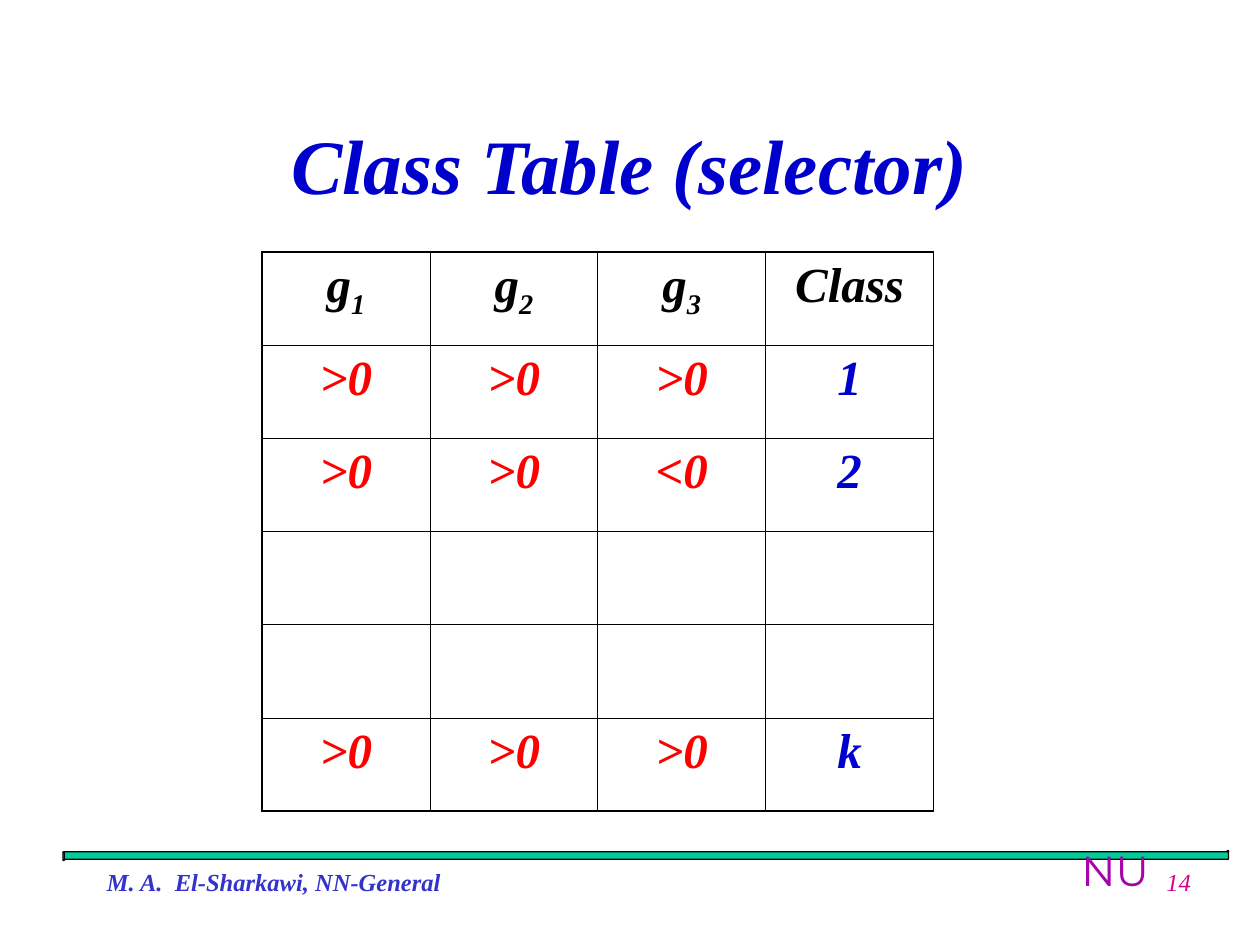
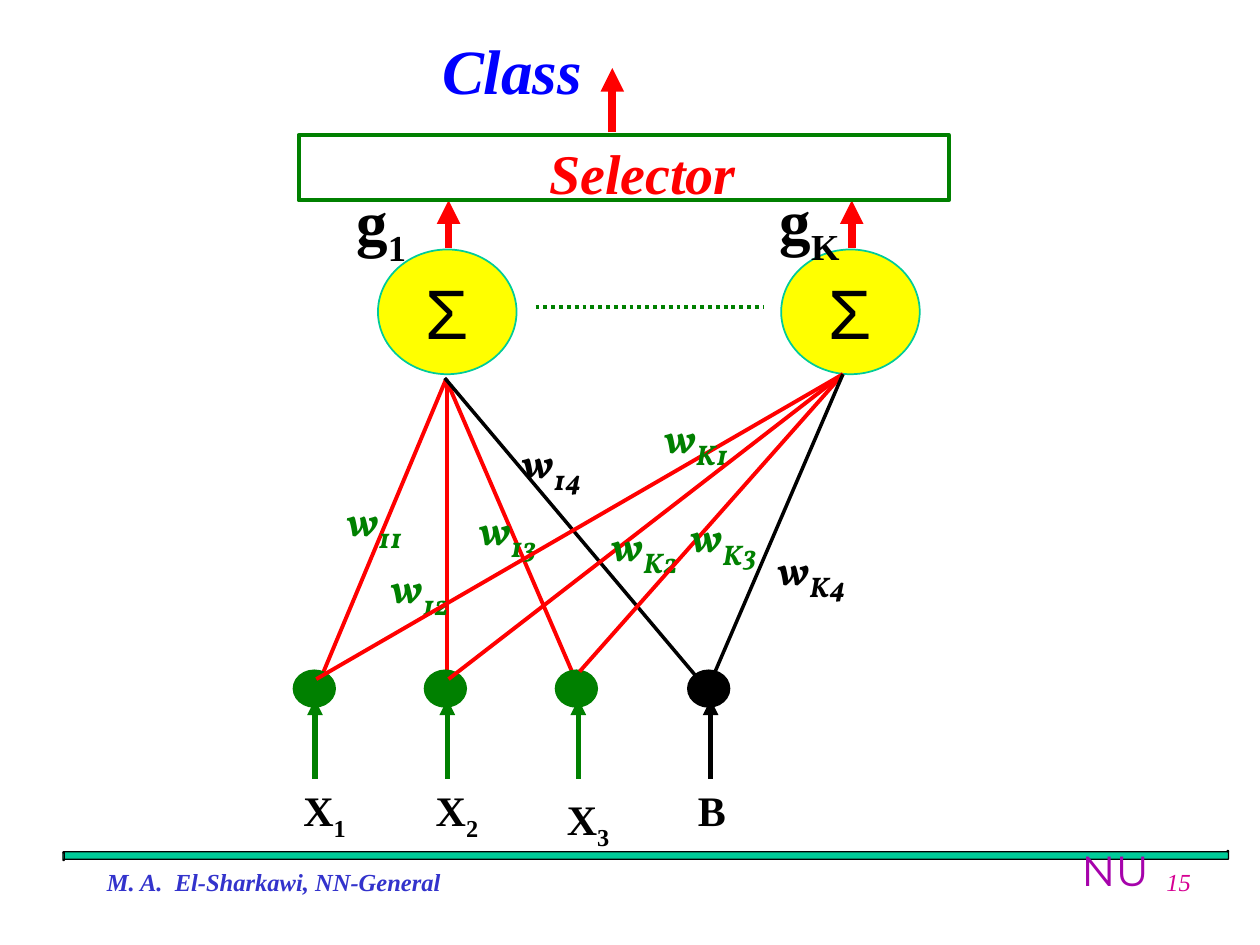
from lxml import etree
from pptx import Presentation
from pptx.dml.color import RGBColor
from pptx.enum.dml import MSO_LINE
from pptx.enum.shapes import MSO_CONNECTOR, MSO_SHAPE
from pptx.enum.text import MSO_ANCHOR, MSO_AUTO_SIZE, PP_ALIGN
from pptx.oxml.ns import qn
from pptx.util import Pt

PX = 9144
STRAIGHT = MSO_CONNECTOR.STRAIGHT
DOTTED = MSO_LINE.ROUND_DOT
OVAL, RECTANGLE, SCROLL = MSO_SHAPE.OVAL, MSO_SHAPE.RECTANGLE, MSO_SHAPE.HORIZONTAL_SCROLL
LEFT, CENTER, RIGHT = PP_ALIGN.LEFT, PP_ALIGN.CENTER, PP_ALIGN.RIGHT

BLACK, RED, GREEN, YELLOW = "000000", "FF0000", "008000", "FFFF00"
TEAL, NAVY, BLUE = "00CC99", "0000CC", "0000FF"
INDIGO, MAGENTA, PURPLE, PALE = "3333CC", "D60093", "A603AB", "EAEAEA"
color = RGBColor.from_string

SERIF = "Times New Roman"
TITLE = {"name": SERIF, "size": Pt(44), "bold": True, "italic": True}
CELL = {**TITLE, "size": Pt(28)}
SELECTOR = {**TITLE, "size": Pt(32)}
OUTPUT = {**TITLE, "size": Pt(36)}
AUTHOR = {**TITLE, "size": Pt(14)}
NUMBER = {**AUTHOR, "bold": False}
INPUT = {"name": SERIF, "size": Pt(24), "bold": True}
SCORE = {**INPUT, "size": Pt(36)}
WEIGHT = {"name": "Vollkorn", "size": Pt(24), "bold": True, "italic": True}
SIGMA = {"name": "Arial", "size": Pt(40)}
MARK = {"name": "Montserrat", "size": Pt(24)}

WRAPPED = {"word_wrap": True}
FREE = {"word_wrap": False}
FITTED = {"word_wrap": False, "auto_size": MSO_AUTO_SIZE.SHAPE_TO_FIT_TEXT}
MIDDLE = {"word_wrap": True, "vertical_anchor": MSO_ANCHOR.MIDDLE}


def write(frame, text, style, ink, sub="", sub_style=None, align=LEFT, layout=WRAPPED):
    for key, value in layout.items():
        setattr(frame, key, value)
    paragraph = frame.paragraphs[0]
    paragraph.alignment = align
    for part, part_style in ((text, style), (sub, sub_style or style)):
        if part:
            run = paragraph.add_run()
            run.text = part
            for key, value in part_style.items():
                setattr(run.font, key, value)
            run.font.color.rgb = color(ink)
    if sub:
        run.font._element.set("baseline", "-25000")
    return paragraph


def connect(slide, ends, ink, width, arrow=False):
    connector = slide.shapes.add_connector(STRAIGHT, *[v * PX for v in ends])
    connector.line.color.rgb = color(ink)
    connector.line.width = Pt(width)
    if arrow:
        etree.SubElement(connector.line._get_or_add_ln(), qn("a:tailEnd"), type="triangle")
    etree.SubElement(connector._element.spPr, qn("a:effectLst"))
    return connector


deck = Presentation()
deck.slide_width, deck.slide_height = 1000 * PX, 750 * PX
class_table, network = [deck.slides.add_slide(deck.slide_layouts[6]) for _ in range(2)]

for number, slide in enumerate((class_table, network), 14):
    band = slide.shapes.add_shape(SCROLL, 50 * PX, 675 * PX, 925 * PX, 8 * PX)
    band.shadow.inherit = False
    band.fill.solid()
    band.fill.fore_color.rgb = color(TEAL)
    band.line.color.rgb = color(BLACK)
    band.line.width = Pt(0.75)
    for box, text, style, ink, align, layout in (
        ((840, 665, 90, 50), "NU", MARK, PURPLE, CENTER, FREE),
        ((75, 683, 583, 50), "M. A.  El-Sharkawi, NN-General", AUTHOR, INDIGO, LEFT, WRAPPED),
        ((717, 683, 238, 50), str(number), NUMBER, MAGENTA, RIGHT, WRAPPED),
    ):
        frame = slide.shapes.add_textbox(*[v * PX for v in box]).text_frame
        paragraph = write(frame, text, style, ink, align=align, layout=layout)
        if style is MARK:
            outline = etree.Element(qn("a:ln"), w=str(Pt(1)))
            outline_fill = etree.SubElement(outline, qn("a:solidFill"))
            etree.SubElement(outline_fill, qn("a:srgbClr"), val=PALE)
            paragraph.runs[0].font._element.insert(0, outline)

title = class_table.shapes.add_textbox(75 * PX, 67 * PX, 850 * PX, 125 * PX)
write(title.text_frame, "Class Table (selector)", TITLE, NAVY, align=CENTER, layout=MIDDLE)

rows = [
    [("g", "1"), ("g", "2"), ("g", "3"), ("Class", "")],
    [(">0", ""), (">0", ""), (">0", ""), ("1", "")],
    [(">0", ""), (">0", ""), ("<0", ""), ("2", "")],
    [("", "")] * 4,
    [("", "")] * 4,
    [(">0", ""), (">0", ""), (">0", ""), ("k", "")],
]
table = class_table.shapes.add_table(6, 4, 208 * PX, 200 * PX, 533 * PX, 444 * PX).table
table.first_row = table.horz_banding = False
for r, row in enumerate(rows):
    for c, (text, sub) in enumerate(row):
        cell = table.cell(r, c)
        ink = BLACK if r == 0 else NAVY if c == 3 else RED
        paragraph = write(cell.text_frame, text, CELL, ink, sub, align=CENTER)
        paragraph.space_before = Pt(7)
        properties = cell._tc.get_or_add_tcPr()
        for side, outer in (("L", c == 0), ("R", c == 3), ("T", r == 0), ("B", r == 5)):
            width = Pt(1.08 if outer else 0.45)
            border = etree.SubElement(properties, qn(f"a:ln{side}"), w=str(width))
            border_fill = etree.SubElement(border, qn("a:solidFill"))
            etree.SubElement(border_fill, qn("a:srgbClr"), val=BLACK)
        cell.fill.background()

input_colors = [GREEN, GREEN, GREEN, BLACK]
first_links = [(251, 547, 354, 301), (355, 303, 355, 545), (460, 547, 354, 301), (562, 548, 353, 300)]
last_links = [(251, 539, 669, 297), (356, 539, 669, 297), (460, 533, 669, 297), (565, 539, 669, 297)]
first_weights = [(265, 382, 80, 63), (300, 435, 74, 63), (370, 389, 74, 63), (404, 336, 74, 63)]
last_weights = [(517, 316, 84, 63), (475, 402, 84, 63), (538, 395, 84, 63), (607, 421, 78, 63)]

for i, ink in enumerate(input_colors):
    x = 250 + 105 * i - i // 2
    connect(network, (x, 618, x, 555), ink, 3, arrow=True)
for x in (356, 676):
    connect(network, (x, 197, x, 159), RED, 4.5, arrow=True)
connect(network, (486, 105, 486, 54), RED, 4.5, arrow=True)
connect(network, (425, 244, 606, 244), GREEN, 2.25).line.dash_style = DOTTED

for unit, links, weights in (("1", first_links, first_weights), ("K", last_links, last_weights)):
    for i, (link, box) in enumerate(zip(links, weights)):
        bias = i == 3
        connect(network, link, BLACK if bias else RED, 2 if bias else 2.25)
        frame = network.shapes.add_textbox(*[v * PX for v in box]).text_frame
        write(frame, "w", WEIGHT, input_colors[i], f"{unit}{i + 1}",
              {**WEIGHT, "size": Pt(28)}, layout=FITTED)
    if unit == "1":
        nodes = [(OVAL, (233 + 104 * i + i // 3, 532, 33, 29), ink, ink, 1, "")
                 for i, ink in enumerate(input_colors)]
        nodes += [(OVAL, (x, 198, 110, 99), YELLOW, TEAL, 1, "Σ") for x in (300, 620)]
        nodes.append((RECTANGLE, (237, 107, 516, 52), None, GREEN, 2.25, ""))
        for kind, box, fill, edge, width, symbol in nodes:
            node = network.shapes.add_shape(kind, *[v * PX for v in box])
            node.shadow.inherit = False
            node.line.color.rgb = color(edge)
            node.line.width = Pt(width)
            if fill:
                node.fill.solid()
                node.fill.fore_color.rgb = color(fill)
            else:
                node.fill.background()
            if symbol:
                write(node.text_frame, symbol, SIGMA, BLACK, align=CENTER,
                      layout={**MIDDLE, "word_wrap": False})

for box, text, sub, style, ink, layout in (
    ((231, 618, 54, 56), "X", "1", INPUT, BLACK, FITTED),
    ((336, 618, 54, 56), "X", "2", INPUT, BLACK, FITTED),
    ((440, 625, 54, 56), "X", "3", INPUT, BLACK, FITTED),
    ((544, 618, 42, 50), "B", "", INPUT, BLACK, FITTED),
    ((426, 105, 168, 64), "Selector", "", SELECTOR, RED, FITTED),
    ((341, 20, 131, 70), "Class", "", OUTPUT, BLUE, FITTED),
    ((273, 140, 82, 79), "g", "1", SCORE, BLACK, WRAPPED),
    ((609, 139, 73, 79), "g", "K", SCORE, BLACK, WRAPPED),
):
    frame = network.shapes.add_textbox(*[v * PX for v in box]).text_frame
    write(frame, text, style, ink, sub, layout=layout)

deck.save("out.pptx")
